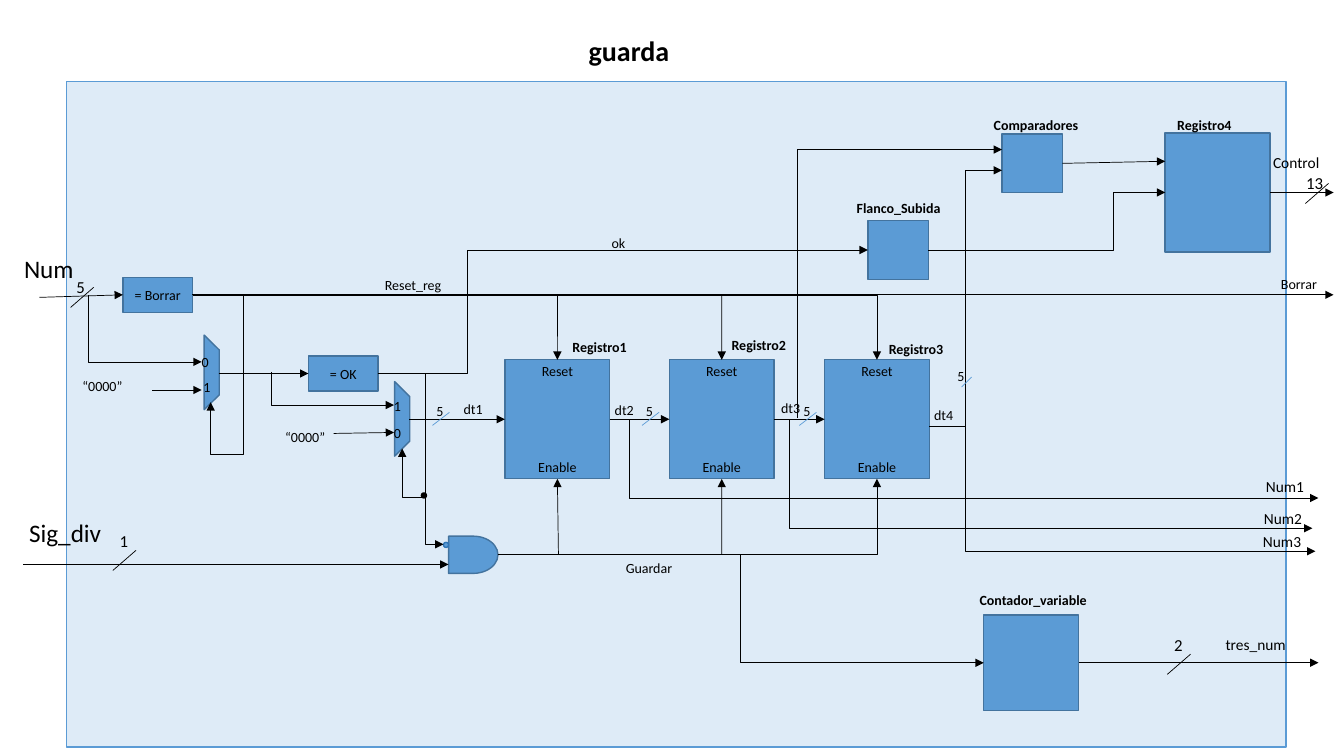
from typing import NamedTuple

from lxml.etree import SubElement
from pptx import Presentation
from pptx.dml.color import RGBColor
from pptx.enum.shapes import MSO_CONNECTOR, MSO_SHAPE
from pptx.enum.text import MSO_ANCHOR, MSO_AUTO_SIZE, PP_ALIGN
from pptx.oxml.ns import qn
from pptx.util import Pt


class Theme(NamedTuple):
    font: str = "Calibri"
    ink: str = "000000"
    panel: str = "DEEBF7"
    blue: str = "5B9BD5"
    edge: str = "43739E"
    ring: str = "2E75B6"
    small: int = 10
    port: int = 11
    bus: int = 12
    input: int = 18
    title: int = 20


class Block(NamedTuple):
    x: float
    y: float
    w: float
    h: float
    text: str = ""
    kind: MSO_SHAPE = MSO_SHAPE.RECTANGLE
    turn: int = 0
    fill: str = Theme().blue
    edge: str = Theme().edge


class Wire(NamedTuple):
    """Runs from (x, y) to (to_x, to_y), bending at bend_x and then bend_y."""
    x: float
    y: float
    to_x: float
    to_y: float
    bend_x: float | None = None
    bend_y: float | None = None


class Label(NamedTuple):
    text: str
    x: float
    y: float
    w: float
    size: int = Theme().small
    bold: bool = False
    align: PP_ALIGN = PP_ALIGN.LEFT


class Bus(NamedTuple):
    """Slash with its bit count, whose box lies dx, dy from the slash."""
    bits: str
    x: float
    y: float
    dx: float
    dy: float
    w: float = 16.6
    h: float = 14.4
    size: int = Theme().bus
    color: str = Theme().ink


LOOK = Theme()
MUX = MSO_SHAPE.FLOWCHART_MANUAL_OPERATION
DOT = MSO_SHAPE.OVAL

PANEL = Block(47.5, 58.3, 871.2, 475.2, fill=LOOK.panel, edge=LOOK.blue)
REGS = [Block(x, 257, 74.9, 85) for x in (360.7, 478.1, 589)]
BOXES = REGS + [
    Block(87.8, 198, 49.7, 25.2, "= Borrar"),
    Block(220.3, 254.2, 49.7, 25.2, "= OK"),
    Block(715.7, 95.8, 43.2, 41.8),
    Block(619.9, 157.7, 43.2, 41.8),
    Block(832.3, 95, 74.9, 85),
    Block(702.7, 439.2, 67.7, 68.4),
]
GATES = [
    Block(124.6, 260.6, 53.3, 10.8, kind=MUX, turn=270),
    Block(260.6, 293.8, 53.3, 10.8, kind=MUX, turn=270),
    Block(320.4, 383, 35.3, 26.6, kind=MSO_SHAPE.FLOWCHART_DELAY),
    Block(316.8, 387.4, 3.6, 3.6, kind=DOT, edge=LOOK.ring),
    Block(301, 352.1, 3.6, 3.6, kind=DOT, fill=LOOK.ink, edge=LOOK.ink),
]
WIRES = [
    Wire(28.1, 212.4, 87.8, 210.6),
    Wire(63.4, 211, 144, 258.5, 63.4),
    Wire(108.7, 278.6, 144, 278.6),
    Wire(156.2, 266.8, 220.3, 266.8),
    Wire(137.5, 210.6, 150.5, 287.3, 173.5, 324.7),
    Wire(193.7, 265.7, 281.5, 289.4, 193.7),
    Wire(238.3, 309.6, 281.5, 308.9),
    Wire(270, 266.8, 287.3, 320.4, 303.8, 355),
    Wire(270, 266.8, 316.8, 388.8, 303.8),
    Wire(270, 266.8, 619.9, 178.6, 334.1),
    Wire(292.3, 299.5, 360.7, 299.5),
    Wire(435.6, 299.5, 478.1, 299.5),
    Wire(553, 299.5, 589, 299.5),
    Wire(137.5, 210.6, 952.6, 210.6),
    Wire(398.2, 210.6, 398.2, 257),
    Wire(515.5, 210.6, 515.5, 257),
    Wire(137.5, 210.6, 626.4, 257, 626.4),
    Wire(398.9, 396, 398.2, 342),
    Wire(515.5, 396, 515.5, 342),
    Wire(355.7, 396, 626.4, 342, 626.4),
    Wire(355.7, 396, 702.7, 473.4, 529.2),
    Wire(16.6, 403.2, 320.4, 403.2),
    Wire(569.5, 298.8, 715.7, 106.9, 569.5),
    Wire(663.9, 304.6, 715.7, 121.7, 689.8),
    Wire(758.9, 116.7, 832.3, 115.2),
    Wire(663.1, 178.6, 832.3, 137.5, 795.6),
    Wire(907.2, 137.5, 952.6, 137.5),
    Wire(435.6, 299.5, 941.8, 355.7, 449.3),
    Wire(553, 299.5, 937.4, 377.3, 563.8),
    Wire(666, 304.6, 939.6, 393.8, 689.8),
    Wire(770.4, 473.4, 941.8, 473.4),
]
BUSES = [Bus("5", x, 294.5, -4.3, -10.8, 12.2, 9.4, LOOK.small, LOOK.blue)
         for x in (308.9, 458.6, 571)] + [
    Bus("5", 686.9, 269.3, -10.1, -10.1, 7.2, 7.2, LOOK.small, LOOK.blue),
    Bus("5", 50.4, 205.2, -2.9, -10.8),
    Bus("1", 80.6, 393.1, -2.2, -17.3),
    Bus("2", 833.8, 467.3, -2.2, -17.3),
    Bus("13", 932.4, 131, -6.5, -10.8),
]
LABELS = [
    Label("Num", 10.1, 177.1, 56, LOOK.input),
    Label("Sig_div", 13.7, 365.8, 72, LOOK.input),
    Label("0", 137, 249.1, 24),
    Label("1", 138.2, 267.1, 24),
    Label("1", 274.3, 280.1, 24),
    Label("0", 274.3, 299.5, 24),
    Label("“0000”", 51.8, 266.4, 50),
    Label("“0000”", 196.6, 302.4, 50),
    Label("Reset_reg", 267.8, 193.7, 62),
    Label("Guardar", 439.9, 396, 54),
    Label("ok", 429.8, 164.2, 30),
    Label("dt1", 324, 282.2, 34),
    Label("dt2", 432, 283, 34),
    Label("dt3", 550.8, 281.5, 34),
    Label("dt4", 660.2, 286.6, 34),
    Label("Registro1", 401.8, 238.3, 60, bold=True),
    Label("Registro2", 515.5, 236.9, 60, bold=True),
    Label("Registro3", 627.8, 239.8, 60, bold=True),
    Label("Registro4", 833.8, 79.9, 60, bold=True),
    Label("Comparadores", 702.7, 79.9, 82, bold=True),
    Label("Flanco_Subida", 604.8, 139, 82, bold=True),
    Label("Contador_variable", 692.6, 419, 98, bold=True),
    Label("Num1", 897.1, 337, 52, LOOK.port),
    Label("Num2", 895.7, 360, 52, LOOK.port),
    Label("Num3", 895, 376.6, 52, LOOK.port),
    Label("tres_num", 868.3, 450, 70, LOOK.port),
    Label("Borrar", 907.9, 193, 46),
    Label("Control", 902.2, 105.8, 54, LOOK.port),
] + [Label(text, reg.x, y, reg.w, align=PP_ALIGN.CENTER)
     for reg in REGS for text, y in (("Reset", 255.4), ("Enable", 323.6))]


def write(frame, text: str, size: int, bold: bool = False,
          align: PP_ALIGN = PP_ALIGN.LEFT) -> None:
    frame.text = text
    frame.word_wrap = True
    line = frame.paragraphs[0]
    line.alignment = align
    font = line.runs[0].font
    font.name, font.size, font.bold = LOOK.font, Pt(size), bold
    font.color.rgb = RGBColor.from_string(LOOK.ink)


def add_block(slide, block: Block):
    shape = slide.shapes.add_shape(block.kind, *map(Pt, block[:4]))
    shape.rotation = block.turn
    shape.shadow.inherit = False
    shape.fill.solid()
    shape.fill.fore_color.rgb = RGBColor.from_string(block.fill)
    shape.line.color.rgb = RGBColor.from_string(block.edge)
    shape.line.width = Pt(1)
    if block.text:
        write(shape.text_frame, block.text, LOOK.small, align=PP_ALIGN.CENTER)
        shape.text_frame.vertical_anchor = MSO_ANCHOR.MIDDLE
    return shape


def add_label(slide, label: Label) -> None:
    box = slide.shapes.add_textbox(Pt(label.x), Pt(label.y), Pt(label.w),
                                   Pt(label.size * 1.2 + 7.2))
    write(box.text_frame, label.text, label.size, label.bold, label.align)


def add_line(slide, wire: Wire, color: str, arrow: bool = False):
    kind = MSO_CONNECTOR.STRAIGHT if wire.bend_x is None else MSO_CONNECTOR.ELBOW
    line = slide.shapes.add_connector(kind, *map(Pt, wire[:4]))
    line.line.width = Pt(0.5)
    line.line.color.rgb = RGBColor.from_string(color)
    props = line.element.spPr
    if arrow:
        SubElement(props.get_or_add_ln(), qn("a:tailEnd"), type="triangle")
    SubElement(props, qn("a:effectLst"))
    if wire.bend_x is not None:
        bend(props.find(qn("a:prstGeom")), wire)
    return line


def bend(geom, wire: Wire) -> None:
    """Choose the elbow preset and set where it turns."""
    if wire.bend_x == wire.to_x:
        geom.set("prst", "bentConnector2")
        return
    turns = [(wire.bend_x - wire.x) / (wire.to_x - wire.x)]
    if wire.bend_y is not None:
        turns.append((wire.bend_y - wire.y) / (wire.to_y - wire.y))
    geom.set("prst", f"bentConnector{len(turns) + 2}")
    guides = geom.get_or_add_avLst()
    for i, turn in enumerate(turns, 1):
        SubElement(guides, qn("a:gd"), name=f"adj{i}",
                   fmla=f"val {round(turn * 100000)}")


def join(line, wire: Wire, boxes: list) -> None:
    """Glue a straight line to each box side whose middle it meets."""
    for box, shape in boxes:
        mid_x, mid_y = box.x + box.w / 2, box.y + box.h / 2
        sides = ((mid_x, box.y), (box.x, mid_y),
                 (mid_x, box.y + box.h), (box.x + box.w, mid_y))
        for i, (x, y) in enumerate(sides):
            if max(abs(wire.x - x), abs(wire.y - y)) < 1:
                line.begin_connect(shape, i)
            if max(abs(wire.to_x - x), abs(wire.to_y - y)) < 1:
                line.end_connect(shape, i)


def main() -> None:
    deck = Presentation()
    deck.slide_width, deck.slide_height = Pt(960), Pt(540)
    slide = deck.slides.add_slide(deck.slide_layouts[5])
    title = slide.shapes.title
    title.left, title.top, title.width, title.height = map(Pt, (413.3, 20.2, 78, 31.7))
    write(title.text_frame, "guarda", LOOK.title, True)
    title.text_frame.auto_size = MSO_AUTO_SIZE.NONE
    title.text_frame.vertical_anchor = MSO_ANCHOR.TOP

    add_block(slide, PANEL)
    boxes = [(box, add_block(slide, box)) for box in BOXES]
    for gate in GATES:
        add_block(slide, gate)
    for wire in WIRES:
        line = add_line(slide, wire, LOOK.ink, arrow=True)
        if wire.bend_x is None:
            join(line, wire, boxes)
    for bus in BUSES:
        add_line(slide, Wire(bus.x + bus.w, bus.y, bus.x, bus.y + bus.h), bus.color)
        add_label(slide, Label(bus.bits, bus.x + bus.dx, bus.y + bus.dy, 30, bus.size))
    for label in LABELS:
        add_label(slide, label)
    deck.save("out.pptx")


if __name__ == "__main__":
    main()
